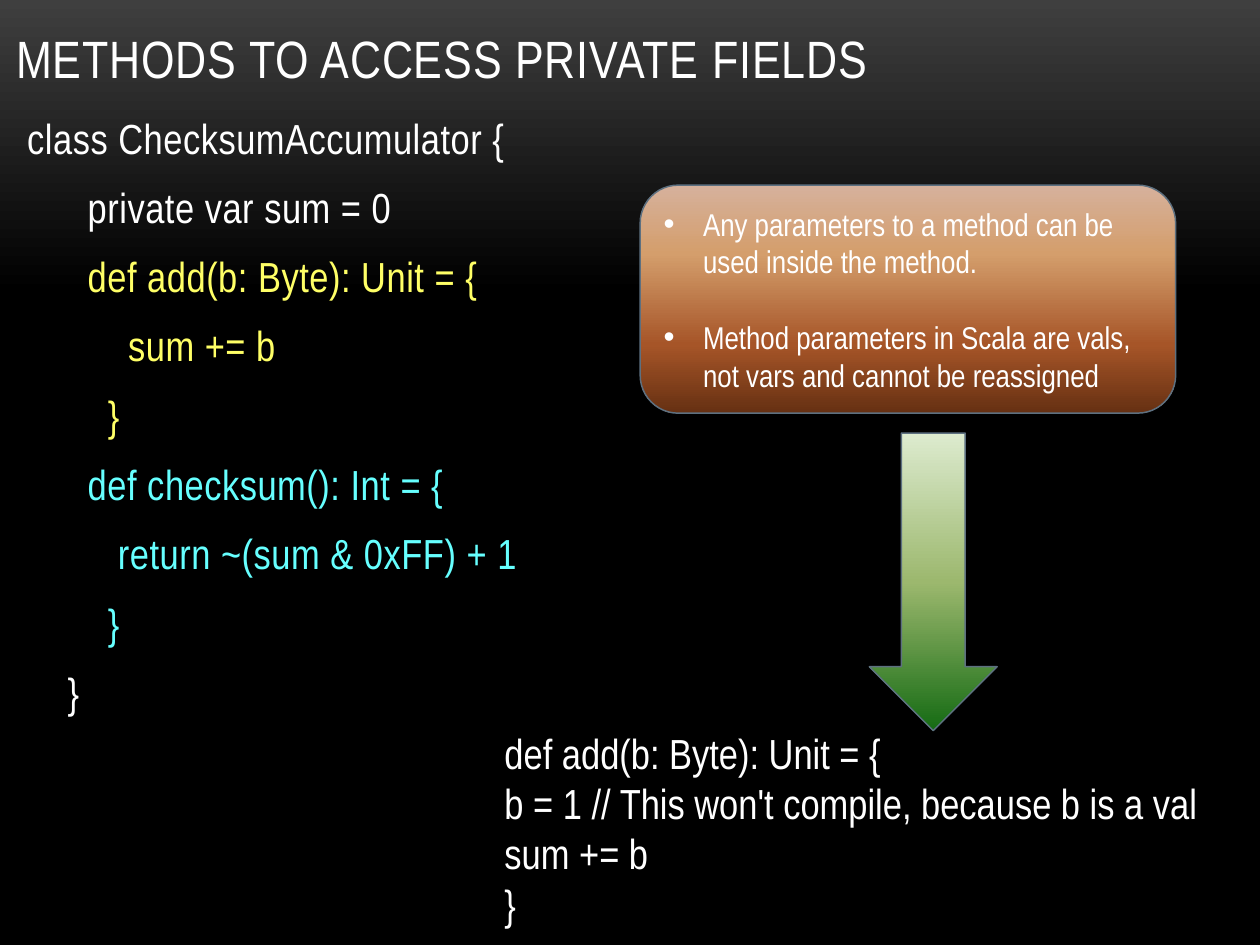
from pptx import Presentation
from pptx.dml.color import RGBColor
from pptx.enum import shapes, text
from pptx.oxml import parse_xml
from pptx.oxml.ns import nsdecls, qn
from pptx.util import Pt

FONT = "Arial Narrow"
WHITE, YELLOW, CYAN, EDGE = "FFFFFF", "FFFF66", "66FFFF", "5D7080"
BACKDROP = [(0, "3F3F3F"), (31, "000000"), (100, "000000")]
COPPER = [(0, "D6B19C"), (30, "D49E6C"), (70, "A65528"), (100, "663012")]
GREEN = [(0, "DDEBCF"), (50, "9CB86E"), (100, "156B13")]

CLASS_CODE = [
    ("class ChecksumAccumulator {", WHITE),
    ("      private var sum = 0", WHITE),
    ("      def add(b: Byte): Unit = {", YELLOW),
    ("          sum += b", YELLOW),
    ("        }", YELLOW),
    ("      def checksum(): Int = {", CYAN),
    ("         return ~(sum & 0xFF) + 1", CYAN),
    ("        }", CYAN),
    ("    }", WHITE),
]
FAILING_CODE = [
    ("def add(b: Byte): Unit = {", WHITE),
    ("b = 1 // This won't compile, because b is a val", WHITE),
    ("sum += b", WHITE),
    ("}", WHITE),
]
NOTES = [
    ("Any parameters to a method can be used inside the method.", WHITE),
    ("Method parameters in Scala are vals, not vars and cannot be reassigned", WHITE),
]


def color(hex_string):
    return RGBColor.from_string(hex_string)


def fill_gradient(fill, element, stops):
    """Fill from top to bottom; element is the XML that holds the fill."""
    fill.gradient()
    fill.gradient_angle = 270
    stop_list = element.find(".//" + qn("a:gsLst"))
    for old_stop in list(stop_list):
        stop_list.remove(old_stop)
    for percent, hex_string in stops:
        stop_list.append(parse_xml(
            f'<a:gs {nsdecls("a")} pos="{percent * 1000}">'
            f'<a:srgbClr val="{hex_string}"/></a:gs>'))


def write_lines(frame, lines, size, before=0, after=0, tracking=0, bulleted=False):
    """Write one paragraph per (wording, colour); tracking is in points."""
    frame.word_wrap = True
    frame.text = "\n".join(wording for wording, _ in lines)
    for index, (paragraph, (_, hex_string)) in enumerate(zip(frame.paragraphs, lines)):
        paragraph.alignment = text.PP_ALIGN.LEFT
        paragraph.space_before = Pt(before if index else 0)
        paragraph.space_after = Pt(after)
        if bulleted:
            add_bullet(paragraph)
        for run in paragraph.runs:
            run.font.name = FONT
            run.font.size = Pt(size)
            run.font.color.rgb = color(hex_string)
            if tracking:
                run.font._element.set("spc", str(round(tracking * 100)))


def add_bullet(paragraph, indent=22.5):
    properties = paragraph._p.get_or_add_pPr()
    properties.set("marL", str(Pt(indent)))
    properties.set("indent", str(-Pt(indent)))
    properties.append(parse_xml(f'<a:buFont {nsdecls("a")} typeface="Arial"/>'))
    properties.append(parse_xml(f'<a:buChar {nsdecls("a")} char="•"/>'))


def add_text(slide, box, lines, size, anchor=text.MSO_ANCHOR.TOP, **spacing):
    frame = slide.shapes.add_textbox(*map(Pt, box)).text_frame
    frame.vertical_anchor = anchor
    write_lines(frame, lines, size, **spacing)


def add_gradient_shape(slide, preset, box, stops):
    shape = slide.shapes.add_shape(preset, *map(Pt, box))
    shape.shadow.inherit = False
    fill_gradient(shape.fill, shape.element, stops)
    shape.line.color.rgb = color(EDGE)
    shape.line.width = Pt(0.85)
    return shape


def main():
    presentation = Presentation()
    presentation.slide_width, presentation.slide_height = Pt(720), Pt(540)
    slide = presentation.slides.add_slide(presentation.slide_layouts[6])
    fill_gradient(slide.background.fill, slide.element, BACKDROP)

    add_text(slide, (2.2, 0, 567, 54.7), [("METHODS TO ACCESS PRIVATE FIELDS", WHITE)],
             30, anchor=text.MSO_ANCHOR.BOTTOM, tracking=0.5)
    add_text(slide, (8.5, 60.5, 698, 475), CLASS_CODE, 24,
             before=4.8, after=6, tracking=0.3)

    preset = shapes.MSO_SHAPE
    callout = add_gradient_shape(slide, preset.FLOWCHART_ALTERNATE_PROCESS,
                                 (365.8, 105.8, 306, 130.3), COPPER)
    callout.text_frame.vertical_anchor = text.MSO_ANCHOR.MIDDLE
    write_lines(callout.text_frame, NOTES, 18, before=21.7, bulleted=True)

    add_text(slide, (281.2, 412, 430.6, 124), FAILING_CODE, 24)
    add_gradient_shape(slide, preset.DOWN_ARROW, (496.8, 247.5, 73, 170), GREEN)

    presentation.save("out.pptx")


if __name__ == "__main__":
    main()
